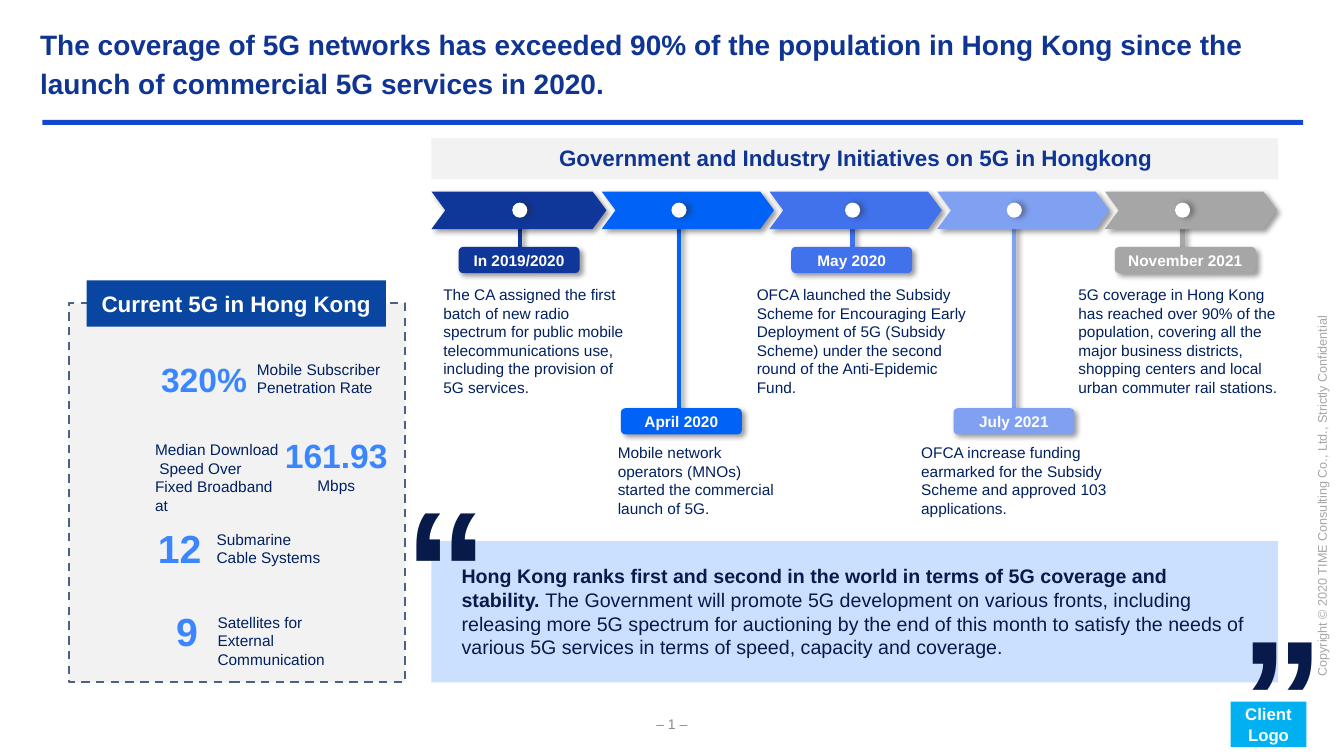
from pptx import Presentation
from pptx.dml.color import RGBColor
from pptx.enum.dml import MSO_LINE
from pptx.enum.shapes import MSO_CONNECTOR, MSO_SHAPE
from pptx.enum.text import MSO_ANCHOR, PP_ALIGN
from pptx.oxml import parse_xml
from pptx.oxml.ns import nsdecls
from pptx.util import Pt

RECTANGLE = MSO_SHAPE.RECTANGLE
ROUNDED = MSO_SHAPE.ROUNDED_RECTANGLE
CHEVRON = MSO_SHAPE.CHEVRON
OVAL = MSO_SHAPE.OVAL
STRAIGHT = MSO_CONNECTOR.STRAIGHT
DASH = MSO_LINE.DASH
LEFT, CENTER = PP_ALIGN.LEFT, PP_ALIGN.CENTER
TOP, MIDDLE = MSO_ANCHOR.TOP, MSO_ANCHOR.MIDDLE

FONT = "Arial"
WHITE, PALE_GREY, GREY = "FFFFFF", "F2F2F2", "A6A6A6"
TITLE_BLUE, BODY_BLUE, QUOTE_BLUE = "0F3492", "002060", "081A49"
FIGURE_BLUE = "3B86FF"

# Upper or lower row: stem top, stem bottom, label top, text top, text height
UPPER = (157, 186, 176.4, 200.2, 87)
LOWER = (160, 298, 291.6, 313.2, 60.5)

# Date, colour, row, marker centre, label left and width, text left and width, text
MILESTONES = [
    ("In 2019/2020", "0F3699", UPPER, 371.3, 327.6, 86.4, 309.6, 146.9,
     "The CA assigned the first batch of new radio spectrum for public mobile "
     "telecommunications use, including the provision of 5G services."),
    ("April 2020", "0162F7", LOWER, 485, 443.5, 86.4, 434.2, 129.6,
     "Mobile network operators (MNOs) started the commercial launch of 5G."),
    ("May 2020", "4171EB", UPPER, 609, 565.2, 86.4, 533.5, 168.5,
     "OFCA launched the Subsidy Scheme for Encouraging Early Deployment of 5G "
     "(Subsidy Scheme) under the second round of the Anti-Epidemic Fund."),
    ("July 2021", "80A0F2", LOWER, 724.5, 681.1, 86.4, 650.9, 146.9,
     "OFCA increase funding earmarked for the Subsidy Scheme and approved "
     "103 applications."),
    ("November 2021", GREY, UPPER, 844.7, 796.3, 100.8, 763.2, 162.7,
     "5G coverage in Hong Kong has reached over 90% of the population, covering "
     "all the major business districts, shopping centers and local urban "
     "commuter rail stations."),
]

# Figure with its place and size, then caption with its place
FACTS = [
    ("320%", (108, 252.7, 81.4, 36), 24,
     "Mobile Subscriber\nPenetration Rate", (176.4, 253.4, 105.8, 33.8)),
    ("12", (105.8, 370.8, 47.5, 41), 28,
     "Submarine Cable Systems", (147.6, 375.1, 92.2, 33.8)),
    ("9", (118.8, 430.6, 28.1, 41), 28,
     "Satellites for\nExternal\vCommunication", (148.3, 434.2, 134.6, 33.8)),
]


def rgb(color):
    return RGBColor.from_string(color)


def set_shadow(item, color="000000", degrees=45):
    """Give a shape or connector a soft outer shadow."""
    item._element.spPr.append(parse_xml(
        f'<a:effectLst {nsdecls("a")}>'
        f'<a:outerShdw blurRad="{Pt(4)}" dist="{Pt(3)}" dir="{degrees * 60000}" '
        f'algn="tl" rotWithShape="0"><a:srgbClr val="{color}">'
        '<a:alpha val="40000"/></a:srgbClr></a:outerShdw></a:effectLst>'))


def add_span(para, text, size=11, color=BODY_BLUE, bold=False):
    span = para.add_run()
    span.text = text
    span.font.name = FONT
    span.font.size = Pt(size)
    span.font.bold = bold
    span.font.color.rgb = rgb(color)


def write_text(frame, text, align=LEFT, spacing=None, **font):
    """Fill a frame; a newline starts a paragraph, a vertical tab breaks a line."""
    frame.word_wrap = True
    for index, content in enumerate(text.split("\n")):
        para = frame.add_paragraph() if index else frame.paragraphs[0]
        para.alignment = align
        if spacing:
            para.line_spacing = spacing
        for row, line in enumerate(content.split("\v")):
            if row:
                para.add_line_break()
            add_span(para, line, **font)


def add_text(page, place, text, anchor=TOP, **style):
    box = page.shapes.add_textbox(*map(Pt, place))
    box.text_frame.vertical_anchor = anchor
    write_text(box.text_frame, text, **style)
    return box


def add_block(page, kind, place, fill, label=None, size=11):
    """Add a filled shape without outline, with an optional centred label."""
    block = page.shapes.add_shape(kind, *map(Pt, place))
    block.fill.solid()
    block.fill.fore_color.rgb = rgb(fill)
    block.line.fill.background()
    if label:
        frame = block.text_frame
        frame.margin_left = frame.margin_right = 0
        frame.margin_top = frame.margin_bottom = 0
        frame.vertical_anchor = MIDDLE
        write_text(frame, label, align=CENTER, size=size, color=WHITE, bold=True)
    block.shadow.inherit = False
    return block


def add_shadowed_block(page, *details, shadow="000000", degrees=45):
    block = add_block(page, *details)
    block._element.spPr.remove(block._element.spPr.find(
        "{http://schemas.openxmlformats.org/drawingml/2006/main}effectLst"))
    set_shadow(block, shadow, degrees)
    return block


def add_stem(page, x, top, bottom, color):
    stem = page.shapes.add_connector(STRAIGHT, Pt(x), Pt(top), Pt(x), Pt(bottom))
    stem.line.color.rgb = rgb(color)
    stem.line.width = Pt(3)
    set_shadow(stem)


def add_frame(page):
    add_text(page, (444.2, 509.8, 71.3, 15.1), "– 1 –", anchor=MIDDLE,
             align=CENTER, size=10, color="8C8C8C")
    add_block(page, RECTANGLE, (30.2, 85.7, 900.7, 3.6), "1448CC")
    notice = add_text(
        page, (802.1, 339.1, 284.4, 18),
        "Copyright © 2020 TIME Consulting Co., Ltd., Strictly Confidential",
        size=9, color=GREY)
    notice.rotation = 270
    add_text(page, (21.6, 13, 897.8, 61.9),
             "The coverage of 5G networks has exceeded 90% of the population in "
             "Hong Kong since the launch of commercial 5G services in 2020.",
             anchor=MIDDLE, spacing=1.14, size=20, color=TITLE_BLUE, bold=True)
    add_block(page, RECTANGLE, (879.1, 501.1, 54, 32.4), "00B0F0", "Client Logo", 12)


def add_timeline(page):
    add_block(page, RECTANGLE, (308.2, 98.6, 604.8, 29.5), PALE_GREY)
    add_text(page, (348.5, 99.4, 525.6, 26.6),
             "Government and Industry Initiatives on 5G in Hongkong",
             align=CENTER, size=16, color=TITLE_BLUE, bold=True)
    for _, color, row, center, *_ in MILESTONES:
        add_stem(page, center, row[0], row[1], color)
    for index, milestone in enumerate(MILESTONES):
        date, color, row, center, label_left, label_width, left, width, text = milestone
        arrow_left = 310 + 119.8 * index if index else 308.2
        arrow_width = 433.2 - arrow_left if index == 0 else 123.1
        arrow = add_shadowed_block(
            page, CHEVRON, (arrow_left, 136.8, arrow_width, 26.8), color)
        arrow.adjustments[0] = 0.37
        add_shadowed_block(page, OVAL, (center - 5.4, 144.7, 10.8, 10.8), WHITE,
                           shadow="262626", degrees=0)
        add_shadowed_block(page, ROUNDED, (label_left, row[2], label_width, 18.7),
                           color, date)
        add_text(page, (left, row[3], width, row[4]), text)


def add_facts(page):
    panel = add_block(page, RECTANGLE, (49, 216.7, 240.5, 270.7), PALE_GREY)
    panel.line.color.rgb = rgb("4B6284")
    panel.line.width = Pt(1.5)
    panel.line.dash_style = DASH
    add_block(page, RECTANGLE, (61.9, 200.2, 213.8, 33.1), "0846A1",
              "Current 5G in Hong Kong", 16)
    for figure, figure_place, size, caption, caption_place in FACTS:
        add_text(page, figure_place, figure, size=size, color=FIGURE_BLUE, bold=True)
        add_text(page, caption_place, caption)
    speed = add_text(page, (189.4, 307.4, 101.5, 49.7), "161.93", align=CENTER,
                     size=24, color=FIGURE_BLUE, bold=True)
    para = speed.text_frame.paragraphs[0]
    add_span(para, " ", size=18, color=FIGURE_BLUE)
    add_span(para, "Mbps")
    add_text(page, (103.7, 311, 103.7, 47.5),
             "Median Download\v Speed Over Fixed Broadband at")


def add_quote(page):
    add_block(page, RECTANGLE, (308.2, 386.6, 604.8, 100.8), "CBDFFF")
    quote = add_text(page, (322.6, 399.6, 577.4, 74.9),
                     "Hong Kong ranks first and second in the world in terms of "
                     "5G coverage and stability. ",
                     size=14, color=QUOTE_BLUE, bold=True)
    add_span(quote.text_frame.paragraphs[0],
             "The Government will promote 5G development on various fronts, "
             "including releasing more 5G spectrum for auctioning by the end of "
             "this month to satisfy the needs of various 5G services in terms of "
             "speed, capacity and coverage.", size=14, color=QUOTE_BLUE)
    for mark, left, top in (("“", 282.2, 326.2), ("”", 879.1, 418.3)):
        add_text(page, (left, top, 51.8, 152.6), mark,
                 size=120, color=QUOTE_BLUE, bold=True)


def main():
    deck = Presentation()
    deck.slide_width, deck.slide_height = Pt(960), Pt(540)
    page = deck.slides.add_slide(deck.slide_layouts[6])
    add_frame(page)
    add_timeline(page)
    add_facts(page)
    add_quote(page)
    deck.save("out.pptx")


if __name__ == "__main__":
    main()
